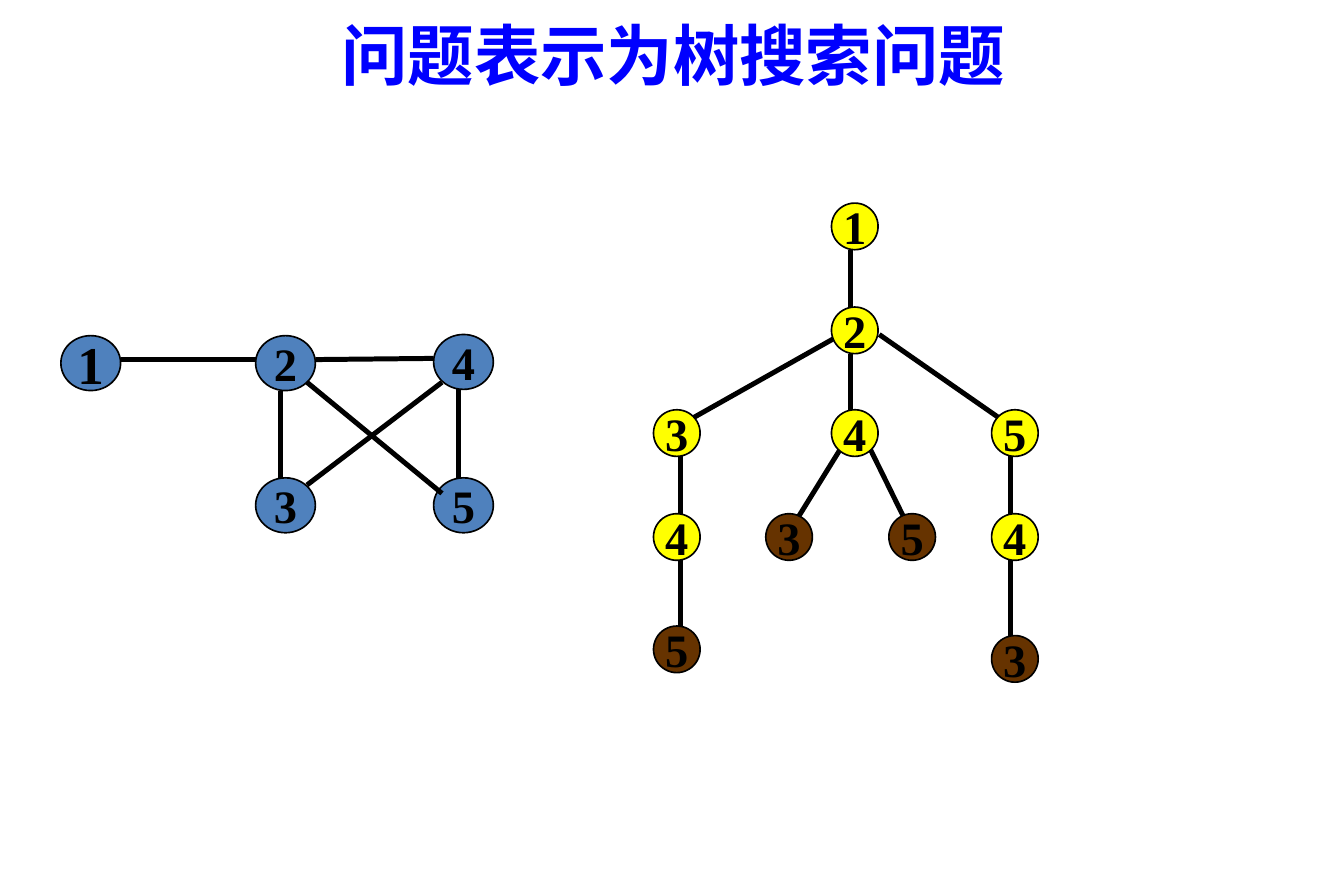
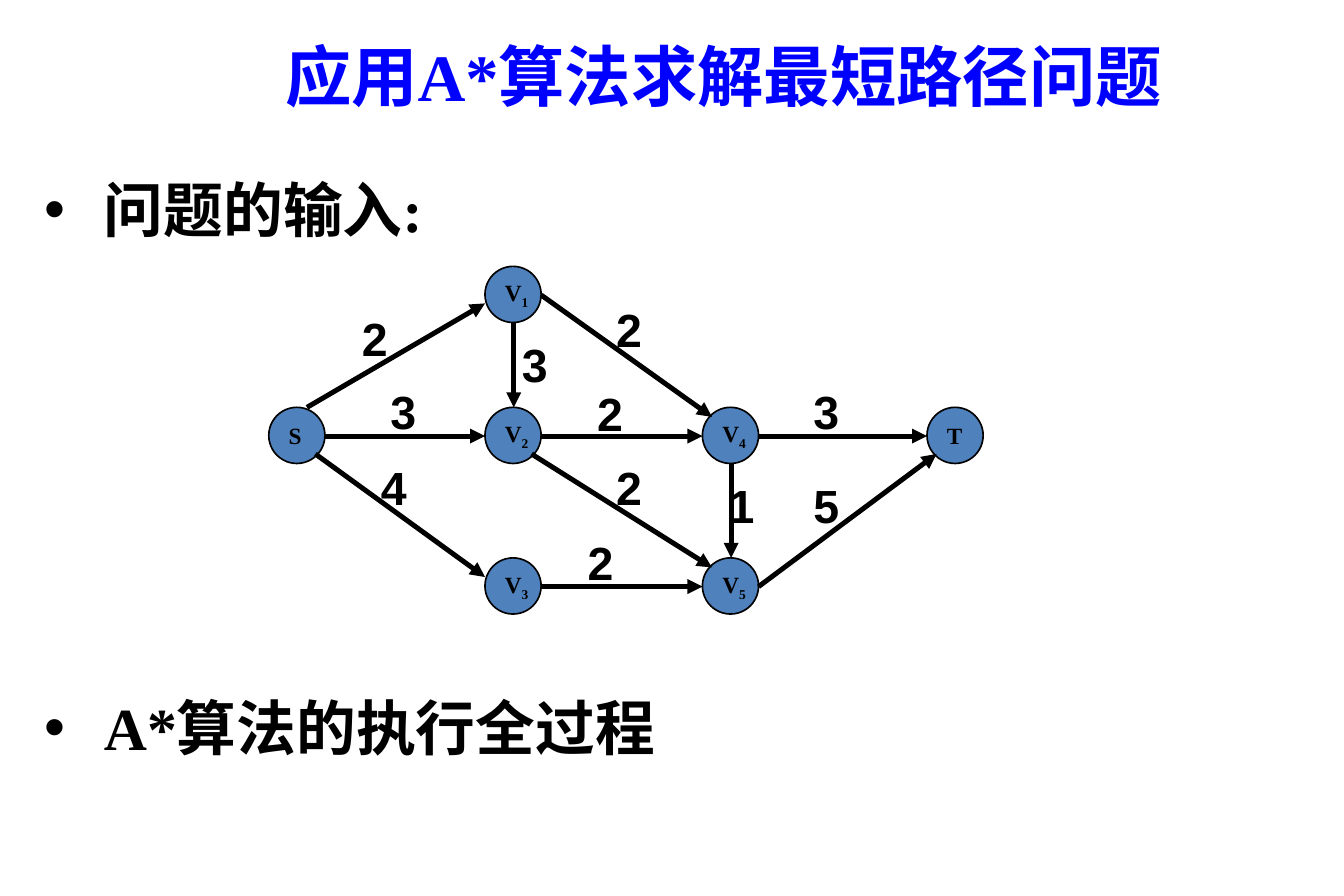
from dataclasses import dataclass

from lxml import etree
from pptx import Presentation
from pptx import util as u
from pptx.dml.color import RGBColor
from pptx.enum import shapes, text
from pptx.oxml.ns import qn


@dataclass(frozen=True)
class Theme:
    blue: str = "0000FF"
    steel: str = "4F81BD"
    yellow: str = "FFFF00"
    brown: str = "663300"
    cream: str = "FFFF99"
    red: str = "FF0000"
    black: str = "000000"
    white: str = "FFFFFF"
    serif: str = "Times New Roman"
    sans: str = "Arial"
    chinese: str = "Noto Sans CJK SC"
    title_size: int = 40
    body_size: int = 36
    label_size: int = 28
    root_size: int = 32
    vertex_size: int = 14
    edge_width: int = 3
    outline_width: int = 1


THEME = Theme()

# Titles and list items: text, then (left, top, width, height)
TREE_TITLE = ("问题表示为树搜索问题", (2.76, 0.07, 5.81, 0.77))
PATH_TITLE = ("应用A*算法求解最短路径问题", (1.47, 0.24, 9.17, 0.69))
PATH_ITEMS = [
    ("问题的输入:", (0.27, 1.31, 8.64, 0.74)),
    ("A*算法的执行全过程", (0.27, 5.64, 8.64, 0.74)),
]

# In each diagram, nodes are name: (left, top), ports are offsets inside a node,
# and edges are (start node, start port, end node, end port).
GRAPH = {
    "size": (0.5, 0.46),
    "nodes": {"1": (0.51, 2.81), "2": (2.14, 2.81), "4": (3.63, 2.8),
              "3": (2.14, 4), "5": (3.63, 4)},
    "ports": {"left": (0, 0.2), "right": (0.5, 0.2),
              "top": (0.21, 0), "bottom": (0.21, 0.46),
              "upper left": (0.07, 0.13), "upper right": (0.43, 0.06),
              "lower left": (0.07, 0.4), "lower right": (0.43, 0.39)},
    "edges": [("1", "right", "2", "left"), ("2", "right", "4", "left"),
              ("2", "bottom", "3", "top"), ("4", "bottom", "5", "top"),
              ("2", "lower right", "5", "upper left"),
              ("4", "lower left", "3", "upper right")],
}

LEVELS = [1.7, 2.57, 3.43, 4.3]
LEFT, MIDDLE, RIGHT = 5.47, 6.96, 8.3
# A tree node is named by the vertices on the way to it.
TREE = {
    "size": (0.39, 0.39),
    "nodes": {"1": (MIDDLE, LEVELS[0]), "12": (MIDDLE, LEVELS[1]),
              "123": (LEFT, LEVELS[2]), "124": (MIDDLE, LEVELS[2]),
              "125": (RIGHT, LEVELS[2]), "1234": (LEFT, LEVELS[3]),
              "1254": (RIGHT, LEVELS[3]), "1245": (7.44, LEVELS[3]),
              "1243": (6.41, LEVELS[3]), "12543": (RIGHT, 5.32),
              "12345": (LEFT, 5.24)},
    "leaves": {"1243", "1245", "12543", "12345"},
    "ports": {"top": (0.16, 0), "bottom": (0.16, 0.39),
              "inner top": (0.23, 0), "inner bottom": (0.23, 0.39),
              "left": (0.08, 0.23), "right": (0.4, 0.23),
              "upper left": (0.08, 0.08), "upper middle": (0.15, 0.08),
              "upper": (0.24, 0.08), "upper right": (0.31, 0.08),
              "lower left": (0.08, 0.32), "lower right": (0.32, 0.32)},
    "edges": [("1", "bottom", "12", "top"), ("12", "bottom", "124", "top"),
              ("124", "lower left", "1243", "upper"),
              ("124", "lower right", "1245", "upper middle"),
              ("12", "left", "123", "upper right"),
              ("12", "right", "125", "upper left"),
              ("123", "inner bottom", "1234", "inner top"),
              ("1234", "inner bottom", "12345", "inner top"),
              ("125", "bottom", "1254", "top"),
              ("1254", "bottom", "12543", "top")],
}

PATHS = {
    "size": (0.47, 0.47),
    "nodes": {"S": (2.25, 3.41), "V3": (4.06, 4.67), "V2": (4.06, 3.41),
              "V1": (4.06, 2.23), "V4": (5.88, 3.41), "V5": (5.88, 4.67),
              "T": (7.76, 3.41)},
    "ports": {"left": (0, 0.24), "right": (0.47, 0.24),
              "top": (0.24, 0), "bottom": (0.24, 0.47),
              "top right": (0.32, 0), "left above": (0, 0.16),
              "left below": (0, 0.31), "upper left": (0.08, 0.08),
              "lower left": (0.08, 0.39), "lower right": (0.39, 0.39)},
    "edges": [("S", "top right", "V1", "left below"),
              ("S", "right", "V2", "left"),
              ("S", "lower right", "V3", "left above"),
              ("V1", "right", "V4", "upper left"),
              ("V2", "right", "V4", "left"), ("V3", "right", "V5", "left"),
              ("V2", "lower right", "V5", "upper left"),
              ("V1", "bottom", "V2", "top"), ("V4", "right", "T", "left"),
              ("V4", "bottom", "V5", "top"),
              ("V5", "right", "T", "lower left")],
}
WEIGHT_SIZE = (0.42, 0.57)
WEIGHTS = [("2", 2.93, 2.55), ("3", 3.17, 3.16), ("4", 3.09, 3.79),
           ("3", 4.27, 2.76), ("2", 5.06, 2.47), ("2", 4.9, 3.17),
           ("2", 5.06, 3.79), ("2", 4.82, 4.42), ("3", 6.71, 3.16),
           ("5", 6.71, 3.94), ("1", 6, 3.94)]


def color(value):
    return RGBColor.from_string(value)


def write_text(shape, content, *, size, font=THEME.serif, fill=THEME.black,
               italic=False, subscript="", align=text.PP_ALIGN.LEFT,
               anchor=text.MSO_ANCHOR.TOP, wrap=False, bullet=False):
    frame = shape.text_frame
    frame.word_wrap = wrap
    frame.auto_size = text.MSO_AUTO_SIZE.NONE
    frame.vertical_anchor = anchor
    paragraph = frame.paragraphs[0]
    paragraph.alignment = align
    paragraph.space_before = u.Pt(0)
    if bullet:
        paragraph.line_spacing = 1.15
        properties = paragraph._p.get_or_add_pPr()
        properties.set("marL", str(u.Inches(0.5)))
        properties.set("indent", str(u.Inches(-0.5)))
        etree.SubElement(properties, qn("a:buChar")).set("char", "•")
    for part, baseline in ((content, None), (subscript, "-25000")):
        if not part:
            continue
        run = paragraph.add_run()
        run.text = part
        run.font.size = u.Pt(size)
        run.font.bold = True
        run.font.italic = italic
        run.font.color.rgb = color(fill)
        run.font.name = font
        properties = run._r.get_or_add_rPr()
        etree.SubElement(properties, qn("a:ea")).set("typeface", THEME.chinese)
        if baseline:
            properties.set("baseline", baseline)


def place(shape, box):
    shape.left, shape.top, shape.width, shape.height = map(u.Inches, box)


def set_title(slide, title, **text_format):
    content, box = title
    place(slide.shapes.title, box)
    write_text(slide.shapes.title, content, size=THEME.title_size,
               fill=THEME.blue, **text_format)


def draw_node(slide, diagram, name, content, *, fill, **text_format):
    box = map(u.Inches, diagram["nodes"][name] + diagram["size"])
    node = slide.shapes.add_shape(shapes.MSO_SHAPE.OVAL, *box)
    node.shadow.inherit = False
    node.fill.solid()
    node.fill.fore_color.rgb = color(fill)
    node.line.color.rgb = color(THEME.black)
    node.line.width = u.Pt(THEME.outline_width)
    write_text(node, content, anchor=text.MSO_ANCHOR.MIDDLE, **text_format)


def draw_edges(slide, diagram, arrow=False):
    def point(name, port):
        left, top = diagram["nodes"][name]
        across, down = diagram["ports"][port]
        return u.Inches(left + across), u.Inches(top + down)

    for start, start_port, end, end_port in diagram["edges"]:
        edge = slide.shapes.add_connector(
            shapes.MSO_CONNECTOR.STRAIGHT,
            *point(start, start_port), *point(end, end_port))
        edge.line.color.rgb = color(THEME.black)
        edge.line.width = u.Pt(THEME.edge_width)
        if arrow:
            head = etree.SubElement(edge.line._get_or_add_ln(), qn("a:tailEnd"))
            head.set("type", "triangle")
        etree.SubElement(edge._element.spPr, qn("a:effectLst"))


def build_tree_slide(presentation):
    slide = presentation.slides.add_slide(presentation.slide_layouts[5])
    set_title(slide, TREE_TITLE, font=THEME.chinese)
    draw_edges(slide, TREE)
    for name in TREE["nodes"]:
        leaf = name in TREE["leaves"]
        draw_node(slide, TREE, name, name[-1],
                  fill=THEME.brown if leaf else THEME.yellow,
                  size=THEME.label_size, align=text.PP_ALIGN.CENTER) if not leaf else \
            draw_node(slide, TREE, name, name[-1], fill=THEME.brown,
                      size=THEME.label_size, align=text.PP_ALIGN.CENTER) 
    for name in GRAPH["nodes"]:
        draw_node(slide, GRAPH, name, name, fill=THEME.steel,
                  size=THEME.root_size if name == "1" else THEME.label_size,
                  align=text.PP_ALIGN.CENTER)
    draw_edges(slide, GRAPH)


def build_path_slide(presentation):
    slide = presentation.slides.add_slide(presentation.slide_layouts[3])
    set_title(slide, PATH_TITLE, align=text.PP_ALIGN.CENTER, wrap=True)
    for index, (content, box) in enumerate(PATH_ITEMS, start=1):
        body = slide.placeholders[index]
        place(body, box)
        write_text(body, content, size=THEME.body_size, wrap=True, bullet=True)
    for name in PATHS["nodes"]:
        draw_node(slide, PATHS, name, name[0], subscript=name[1:],
                  fill=THEME.steel, size=THEME.vertex_size)
    draw_edges(slide, PATHS, arrow=True)
    for weight, left, top in WEIGHTS:
        label = slide.shapes.add_textbox(*map(u.Inches, (left, top) + WEIGHT_SIZE))
        write_text(label, weight, size=THEME.label_size, font=THEME.sans)


def main():
    presentation = Presentation()
    presentation.slide_width = u.Inches(11.25)
    presentation.slide_height = u.Inches(7.5)
    build_tree_slide(presentation)
    build_path_slide(presentation)
    presentation.save("out.pptx")


if __name__ == "__main__":
    main()
